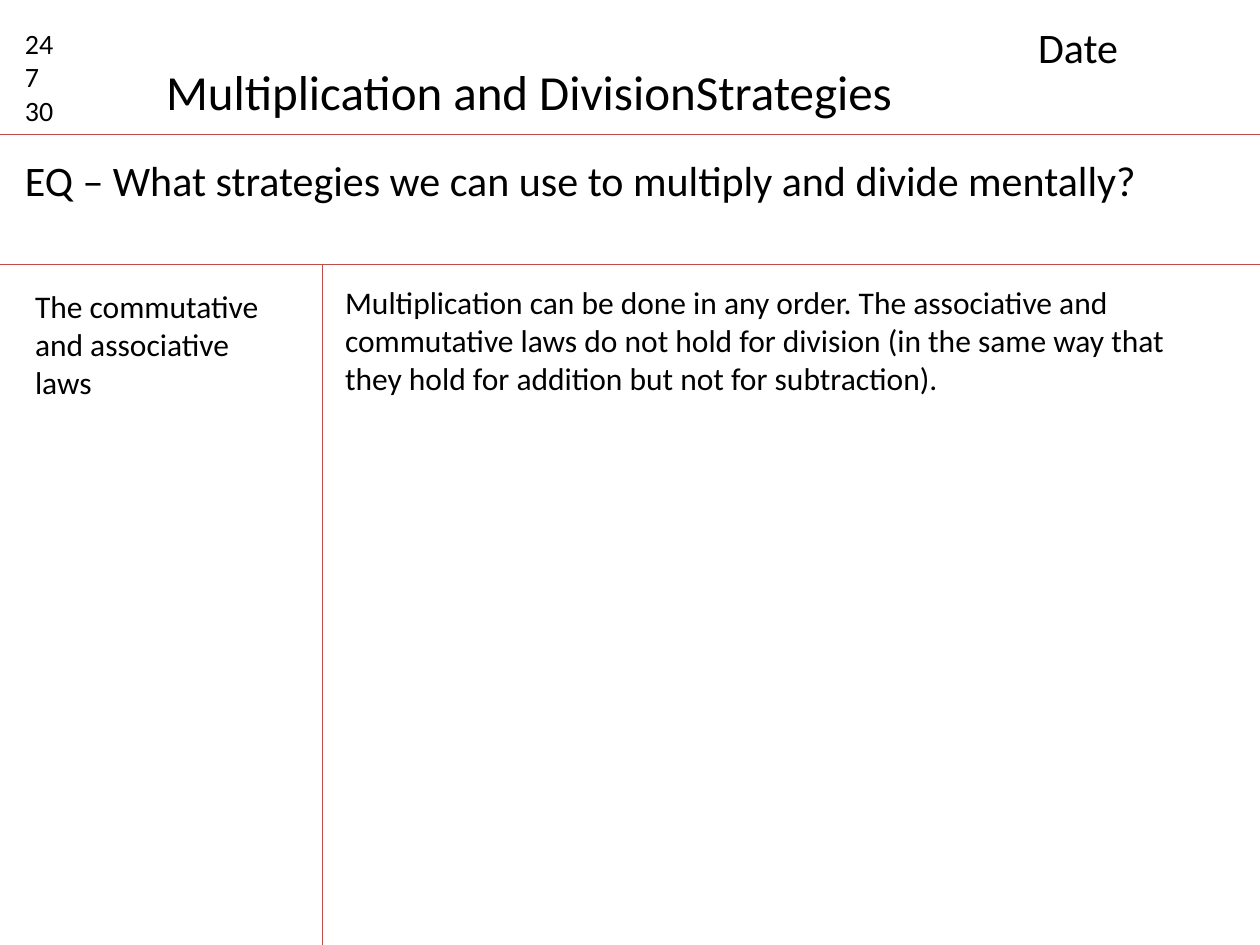
"""Build a two-column notes slide on multiplication and division strategies."""
from lxml import etree
from pptx import Presentation
from pptx.dml.color import RGBColor
from pptx.enum.shapes import MSO_CONNECTOR
from pptx.enum.text import MSO_AUTO_SIZE
from pptx.oxml.ns import qn
from pptx.util import Inches, Pt

STRAIGHT = MSO_CONNECTOR.STRAIGHT
GROW = MSO_AUTO_SIZE.SHAPE_TO_FIT_TEXT
RULE_RED = RGBColor(0xBF, 0x4C, 0x48)
BLACK = RGBColor(0, 0, 0)

WIDTH, HEIGHT = 10, 7.5
HEADER_RULE, QUESTION_RULE, COLUMN_RULE = 1.07, 2.1, 2.56

presentation = Presentation()
presentation.slide_width = Inches(WIDTH)
presentation.slide_height = Inches(HEIGHT)
slide = presentation.slides.add_slide(presentation.slide_layouts[6])

rules = [
    (0, HEADER_RULE, WIDTH, HEADER_RULE),
    (0, QUESTION_RULE, WIDTH, QUESTION_RULE),
    (COLUMN_RULE, QUESTION_RULE, COLUMN_RULE, 7.69),
]
for ends in rules:
    rule = slide.shapes.add_connector(STRAIGHT, *[Inches(end) for end in ends])
    rule.line.color.rgb = RULE_RED
    rule.line.width = Pt(0.75)
    etree.SubElement(rule._element.spPr, qn("a:effectLst"))

texts = [
    (0.1, 0.16, 0.63, 0.91, 16, True, ["24", "7", "30"]),
    (1.22, 0.44, 6.03, 0.57, 28, False, ["Multiplication and DivisionStrategies"]),
    (8.14, 0.12, 1.73, 0.5, 24, True, ["Date"]),
    (0.1, 1.18, 9.43, 0.5, 24, True,
     ["EQ – What strategies we can use to multiply and divide mentally?"]),
    (2.64, 2.2, 7.09, 1.01, 18, True,
     ["Multiplication can be done in any order. The associative and "
      "commutative laws do not hold for division (in the same way that "
      "they hold for addition but not for subtraction)."]),
    (0.18, 2.23, 2.2, 1.01, 18, True, ["The commutative and associative laws"]),
]
for left, top, width, height, size, wrap, lines in texts:
    box = slide.shapes.add_textbox(
        Inches(left), Inches(top), Inches(width), Inches(height))
    frame = box.text_frame
    frame.word_wrap = wrap
    frame.auto_size = GROW
    for index, line in enumerate(lines):
        paragraph = frame.add_paragraph() if index else frame.paragraphs[0]
        run = paragraph.add_run()
        run.text = line
        run.font.name = "Calibri"
        run.font.size = Pt(size)
        run.font.color.rgb = BLACK

presentation.save("out.pptx")
